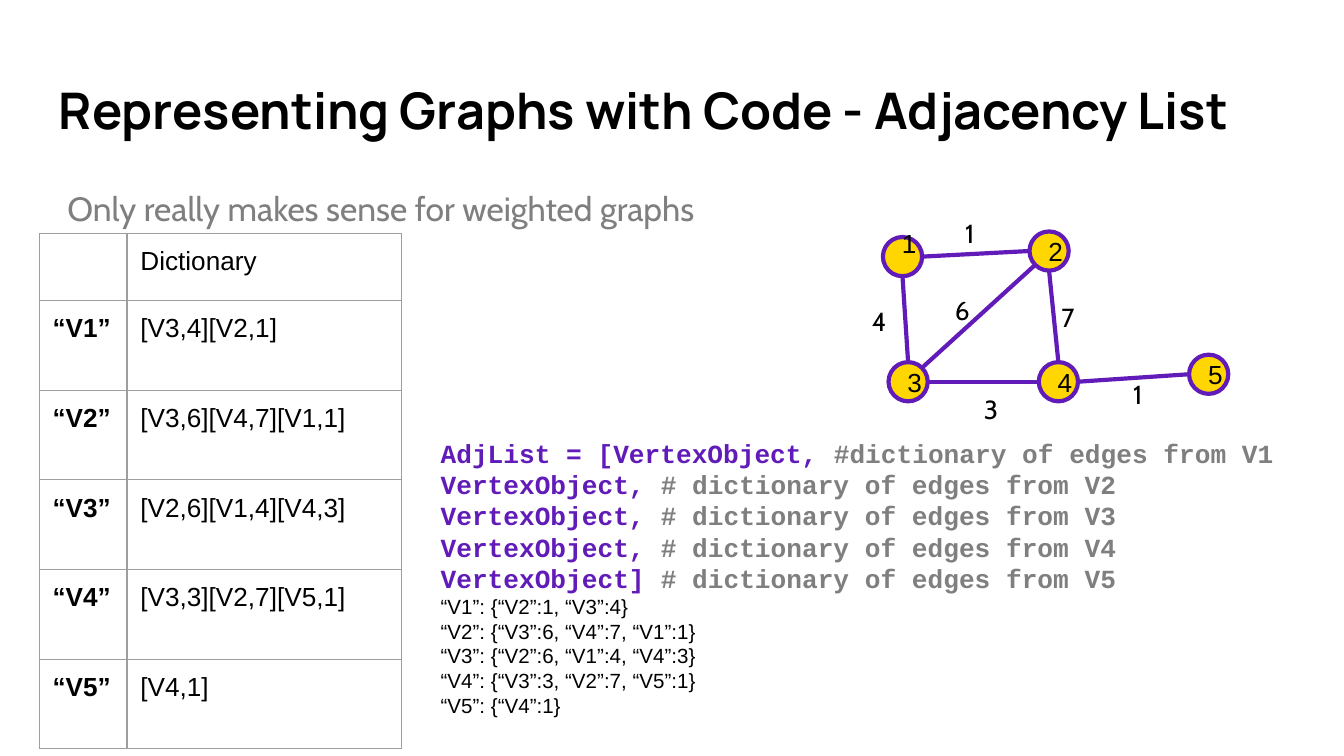
from dataclasses import dataclass
from math import cos, radians, sin

from lxml import etree
from pptx import Presentation
from pptx.dml.color import RGBColor
from pptx.enum.shapes import MSO_CONNECTOR, MSO_SHAPE
from pptx.enum.text import MSO_ANCHOR
from pptx.oxml.ns import qn
from pptx.util import Pt

OVAL = MSO_SHAPE.OVAL
STRAIGHT = MSO_CONNECTOR.STRAIGHT
MIDDLE = MSO_ANCHOR.MIDDLE


@dataclass(frozen=True)
class Theme:
    black: str = "000000"
    grey: str = "7F7F7F"
    purple: str = "611BB8"
    yellow: str = "FFD600"
    border: str = "9E9E9E"
    heading_font: str = "Manrope"
    body_font: str = "Cabin"
    plain_font: str = "Arial"
    code_font: str = "Courier New"
    title_size: float = 27
    subtitle_size: float = 18
    text_size: float = 14
    small_size: float = 11
    inset: float = 7.2
    edge_width: float = 2.25
    border_width: float = 0.75


THEME = Theme()


def text_format(name, size, color=THEME.black, bold=False):
    return {"name": name, "size": Pt(size), "bold": bold, "color": color}


TITLE = text_format(THEME.heading_font, THEME.title_size, bold=True)
SUBTITLE = text_format(THEME.body_font, THEME.subtitle_size, THEME.grey)
PLAIN = text_format(THEME.plain_font, THEME.text_size)
PLAIN_BOLD = PLAIN | {"bold": True}
SMALL = text_format(THEME.plain_font, THEME.small_size)
WEIGHT = text_format(THEME.body_font, THEME.text_size)
CODE = text_format(THEME.code_font, THEME.text_size, THEME.purple, True)
COMMENT = CODE | {"color": THEME.grey}
INSETS = {f"margin_{side}": Pt(THEME.inset) for side in ("left", "top", "right", "bottom")}

TABLE_ROWS = [
    ("", "Dictionary"),
    ("“V1”", "[V3,4][V2,1]"),
    ("“V2”", "[V3,6][V4,7][V1,1]"),
    ("“V3”", "[V2,6][V1,4][V4,3]"),
    ("“V4”", "[V3,3][V2,7][V5,1]"),
    ("“V5”", "[V4,1]"),
]
CODE_LINES = [
    ("AdjList = [VertexObject, ", "#dictionary of edges from V1"),
    ("VertexObject, ", "# dictionary of edges from V2"),
    ("VertexObject, ", "# dictionary of edges from V3"),
    ("VertexObject, ", "# dictionary of edges from V4"),
    ("VertexObject] ", "# dictionary of edges from V5"),
]
DICTIONARY_LINES = [
    "“V1”: {“V2”:1, “V3”:4}",
    "“V2”: {“V3”:6, “V4”:7, “V1”:1}",
    "“V3”: {“V2”:6, “V1”:4, “V4”:3}",
    "“V4”: {“V3”:3, “V2”:7, “V5”:1}",
    "“V5”: {“V4”:1}",
]
NODE_CENTERS = {1: (23.5, 28), 2: (102, 25), 3: (26.5, 95), 4: (107, 95), 5: (187.5, 91)}
RIGHT, DOWN, LEFT, UP = 0, 90, 180, 270
EDGES = [
    (1, DOWN, 3, UP, "4", (0, 47)),
    (4, LEFT, 3, RIGHT, "3", (60, 94)),
    (1, RIGHT, 2, LEFT, "1", (50, 0)),
    (4, RIGHT, 5, LEFT, "1", (140, 86)),
    (4, UP, 2, DOWN, "7", (101.5, 45)),
    (2, 135, 3, 315, "6", (44.5, 41)),
]


def apply(target, values):
    for name, value in values.items():
        setattr(target, name, value)


def write_lines(frame, lines):
    apply(frame, INSETS | {"word_wrap": True})
    for index, runs in enumerate(lines):
        paragraph = frame.add_paragraph() if index else frame.paragraphs[0]
        for text, values in runs:
            run = paragraph.add_run()
            run.text = text
            apply(run.font, {key: value for key, value in values.items() if key != "color"})
            run.font.color.rgb = RGBColor.from_string(values["color"])


def add_text(slide, box, lines):
    shape = slide.shapes.add_textbox(*map(Pt, box))
    write_lines(shape.text_frame, lines)
    return shape


def add_headings(slide, box):
    left, top, width, height = box
    add_text(slide, (left, top, width, 49), [[("Representing Graphs with Code - Adjacency List", TITLE)]])
    subtitle = add_text(
        slide, (left + 4.5, top + 55, width, height - 55),
        [[("Only really makes sense for weighted graphs", SUBTITLE)]],
    )
    apply(subtitle.text_frame.paragraphs[0], {"line_spacing": 1.15, "space_after": Pt(12)})


def add_cell_borders(cell):
    properties = cell._tc.get_or_add_tcPr()
    for index, side in enumerate(("a:lnL", "a:lnR", "a:lnT", "a:lnB")):
        line = etree.Element(qn(side), w=str(Pt(THEME.border_width)))
        fill = etree.SubElement(line, qn("a:solidFill"))
        etree.SubElement(fill, qn("a:srgbClr"), val=THEME.border)
        properties.insert(index, line)


def add_dictionary_table(slide, box):
    left, top, width, height = box
    header_height, label_width = 34.3, 47
    row_height = (height - header_height) / (len(TABLE_ROWS) - 1)
    table = slide.shapes.add_table(len(TABLE_ROWS), 2, *map(Pt, box)).table
    apply(table, {"first_row": False, "horz_banding": False})
    for column, column_width in zip(table.columns, (label_width, width - label_width)):
        column.width = Pt(column_width)
    for row_index, texts in enumerate(TABLE_ROWS):
        table.rows[row_index].height = Pt(row_height if row_index else header_height)
        for column_index, text in enumerate(texts):
            cell = table.cell(row_index, column_index)
            write_lines(cell.text_frame, [[(text, PLAIN if column_index else PLAIN_BOLD)]])
            apply(cell, INSETS)
            cell.fill.background()
            add_cell_borders(cell)


def add_code(slide, box):
    lines = [[(code, CODE), (comment, COMMENT)] for code, comment in CODE_LINES]
    lines += [[(text, SMALL)] for text in DICTIONARY_LINES]
    add_text(slide, box, lines)


def add_edge(slide, start, end):
    connector = slide.shapes.add_connector(STRAIGHT, *map(Pt, start + end))
    connector.line.color.rgb = RGBColor.from_string(THEME.purple)
    connector.line.width = Pt(THEME.edge_width)
    etree.SubElement(connector._element.spPr, qn("a:effectLst"))


def add_node(slide, center, radius, label):
    x, y = center
    node = slide.shapes.add_shape(OVAL, *map(Pt, (x - radius, y - radius, 2 * radius, 2 * radius)))
    node.shadow.inherit = False
    node.fill.solid()
    node.fill.fore_color.rgb = RGBColor.from_string(THEME.yellow)
    node.line.color.rgb = RGBColor.from_string(THEME.purple)
    node.line.width = Pt(THEME.edge_width)
    write_lines(node.text_frame, [[(label, PLAIN)]])
    node.text_frame.vertical_anchor = MIDDLE
    node.text_frame.paragraphs[0].alignment = 1
    return node


def add_graph(slide, box):
    left, top, width, height = box
    radius = 10.5
    centers = {number: (left + x, top + y) for number, (x, y) in NODE_CENTERS.items()}
    nodes = {number: add_node(slide, center, radius, str(number)) for number, center in centers.items()}
    apply(nodes[1].text_frame, {"margin_top": Pt(0), "margin_bottom": Pt(15)})

    def rim_point(number, angle):
        x, y = centers[number]
        return x + radius * cos(radians(angle)), y + radius * sin(radians(angle))

    for first, first_angle, second, second_angle, weight, (x, y) in EDGES:
        add_edge(slide, rim_point(first, first_angle), rim_point(second, second_angle))
        add_text(slide, (left + x, top + y, 25, 32), [[(weight, WEIGHT)]])


def main():
    presentation = Presentation()
    apply(presentation, {"slide_width": Pt(720), "slide_height": Pt(405)})
    slide = presentation.slides.add_slide(presentation.slide_layouts[6])
    add_headings(slide, (24.5, 35, 671, 324))
    add_dictionary_table(slide, (21, 125, 194, 274.5))
    add_code(slide, (229, 227, 487.5, 166))
    add_graph(slide, (460, 109.5, 198, 126))
    presentation.save("out.pptx")


if __name__ == "__main__":
    main()
